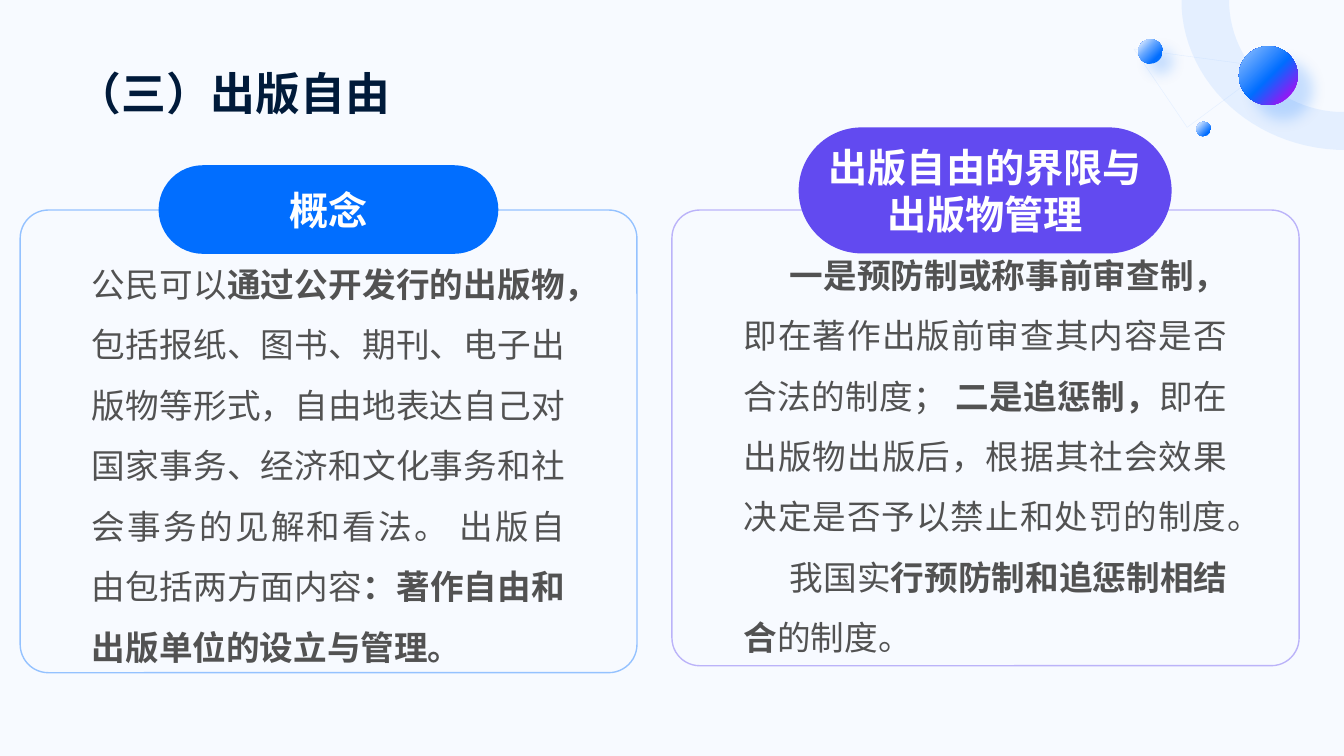
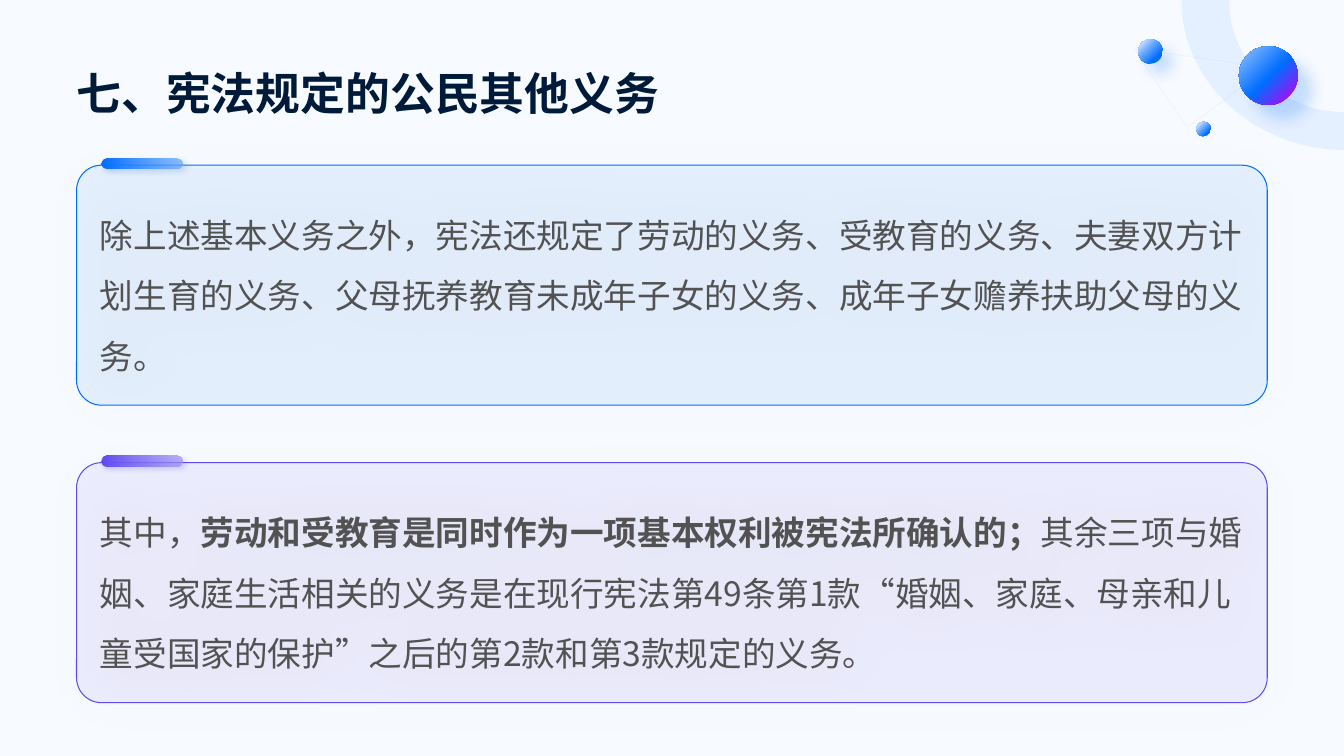
import dataclasses

import lxml.etree
import pptx
import pptx.dml.color
import pptx.enum.shapes
import pptx.enum.text
import pptx.oxml.ns
import pptx.util

Pt = pptx.util.Pt
qn = pptx.oxml.ns.qn
ALIGN = pptx.enum.text.PP_ALIGN
ANCHOR = pptx.enum.text.MSO_ANCHOR
SHAPE = pptx.enum.shapes.MSO_SHAPE


@dataclasses.dataclass(frozen=True)
class Theme:
    background: str = "F7FAFF"
    title: str = "001A3A"
    body: str = "525252"
    white: str = "FFFFFF"
    black: str = "000000"
    blue: str = "016EFF"
    light_blue: str = "67A8FF"
    soft_blue: str = "99C5FF"
    pale_blue: str = "CCE2FF"
    deep_blue: str = "0052C0"
    violet: str = "624AF0"
    light_violet: str = "A192F6"
    deep_violet: str = "2F12D9"
    magenta: str = "9618F4"
    title_font: str = "Arial"
    body_font: str = "Noto Sans CJK SC"
    title_size: int = 32
    label_size: int = 28
    body_size: int = 24


def rgb(colour):
    return pptx.dml.color.RGBColor.from_string(colour)


def child(parent, tag, **attributes):
    return lxml.etree.SubElement(parent, qn(tag), {k: str(v) for k, v in attributes.items()})


def add_colour(parent, colour, alpha=100):
    node = child(parent, "a:srgbClr", val=colour)
    if alpha < 100:
        child(node, "a:alpha", val=alpha * 1000)


def paint(fill_format, fill_parent, colour, alpha=100):
    fill_format.solid()
    fill_format.fore_color.rgb = rgb(colour)
    if alpha < 100:
        node = fill_parent.find(qn("a:solidFill")).find(qn("a:srgbClr"))
        child(node, "a:alpha", val=alpha * 1000)


def write(shape, *paragraphs, size, colour, font, east_asian, bold=False,
          align=ALIGN.LEFT, anchor=ANCHOR.MIDDLE, insets=(0, 0, 0, 0), spacing=1.0, indent=0):
    frame = shape.text_frame
    frame.word_wrap = True
    frame.vertical_anchor = anchor
    (frame.margin_left, frame.margin_top,
     frame.margin_right, frame.margin_bottom) = map(Pt, insets)
    for position, content in enumerate(paragraphs):
        paragraph = frame.add_paragraph() if position else frame.paragraphs[0]
        paragraph.alignment = align
        paragraph.line_spacing = spacing
        if indent:
            paragraph._p.get_or_add_pPr().set("indent", str(Pt(indent)))
        for index, words in enumerate(content.split("*")):
            if not words:
                continue
            run = paragraph.add_run()
            run.text = words
            run.font.size = Pt(size)
            run.font.bold = bold or index % 2 == 1
            run.font.color.rgb = rgb(colour)
            run.font.name = font
            properties = run._r.get_or_add_rPr()
            properties.set("lang", "zh-CN")
            child(properties, "a:ea", typeface=east_asian)


def curve(start, first, second, end, steps=24):
    for step in range(1, steps + 1):
        t = step / steps
        yield tuple((1 - t) ** 3 * a + 3 * t * (1 - t) ** 2 * b + 3 * t * t * (1 - t) * c + t ** 3 * d
                    for a, b, c, d in zip(start, first, second, end))


class Deck:
    def __init__(self, theme):
        self.theme = theme
        self.presentation = pptx.Presentation()
        self.presentation.slide_width = Pt(960)
        self.presentation.slide_height = Pt(540)
        background = self.presentation.slide_master.background.fill
        background.solid()
        background.fore_color.rgb = rgb(theme.background)
        self.slide = None

    def start(self, heading):
        self.slide = self.presentation.slides.add_slide(self.presentation.slide_layouts[6])
        self.ornament()
        title = self.slide.shapes.add_textbox(Pt(54.7), Pt(28), Pt(850.5), Pt(57))
        write(title, heading, size=self.theme.title_size, colour=self.theme.title,
              font=self.theme.title_font, east_asian=self.theme.body_font,
              bold=True, anchor=ANCHOR.BOTTOM)

    def ornament(self):
        t = self.theme
        self.outline([(810, 35), (906, 48), (848, 91)], line=(t.pale_blue, 0.25, 50))
        inner = curve((878, 3.6), (880, 45), (914, 78), (956, 80))
        outer = curve((955, 107), (895, 104), (847, 60), (844, 5))
        self.outline([(844, 0), (878, 0), (878, 3.6), *inner, (960, 80),
                      (960, 107), (955, 107), *outer], fill=(t.soft_blue, 20))
        planets = [
            (885, 33, 42, [(0, t.soft_blue), (52, t.blue), (85, t.magenta)], (t.blue, 20, 10, 15)),
            (813, 28, 17.5, [(12, t.pale_blue), (40, t.light_blue), (75, t.blue)], (t.blue, 20, 10, 10)),
            (854.5, 87, 10.5, [(13, t.pale_blue), (75, t.blue)], None),
        ]
        for left, top, size, stops, shadow in planets:
            planet = self.shape(SHAPE.OVAL, (left, top, size, size), shadow=shadow)
            self.gradient(planet, stops, radial=True)

    def outline(self, points, **style):
        builder = self.slide.shapes.build_freeform(Pt(points[0][0]), Pt(points[0][1]))
        builder.add_line_segments([(Pt(x), Pt(y)) for x, y in points[1:]], close=True)
        self.style(builder.convert_to_shape(), **style)

    def shape(self, kind, box, radius=None, **style):
        shape = self.slide.shapes.add_shape(kind, *map(Pt, box))
        if radius is not None:
            shape.adjustments[0] = radius
        self.style(shape, **style)
        return shape

    def style(self, shape, fill=None, line=None, shadow=None):
        properties = shape._element.spPr
        if fill:
            paint(shape.fill, properties, *fill)
        else:
            shape.fill.background()
        if line:
            colour, width, alpha = line
            shape.line.width = Pt(width)
            paint(shape.line.fill, properties.find(qn("a:ln")), colour, alpha)
        else:
            shape.line.fill.background()
        shape.shadow.inherit = False
        if shadow:
            colour, alpha, blur, distance = shadow
            outer = child(properties.find(qn("a:effectLst")), "a:outerShdw", blurRad=Pt(blur),
                          dist=Pt(distance), dir=45 * 60000, algn="tl", rotWithShape=0)
            add_colour(outer, colour, alpha)

    def gradient(self, shape, stops, radial=False):
        fill = lxml.etree.Element(qn("a:gradFill"), {"rotWithShape": "1"})
        listing = child(fill, "a:gsLst")
        for position, *colour in stops:
            add_colour(child(listing, "a:gs", pos=position * 1000), *colour)
        if radial:
            child(child(fill, "a:path", path="circle"), "a:fillToRect", r=100000, b=100000)
        else:
            child(fill, "a:lin", ang=0, scaled=0)
        properties = shape._element.spPr
        properties.replace(properties.find(qn("a:noFill")), fill)

    def body(self, shape, *paragraphs, **options):
        write(shape, *paragraphs, size=self.theme.body_size, colour=self.theme.body,
              font=self.theme.body_font, east_asian=self.theme.body_font, spacing=1.5, **options)

    def panel(self, box, accent, *paragraphs, bottom=20, indent=0):
        panel = self.shape(SHAPE.ROUNDED_RECTANGLE, box, 0.061, line=(accent, 1, 40))
        self.body(panel, *paragraphs, align=ALIGN.JUSTIFY,
                  insets=(45.4, 39.6, 45.4, bottom), indent=indent)

    def pill(self, box, accent, label):
        pill = self.shape(SHAPE.ROUNDED_RECTANGLE, box, 0.5, fill=(accent,))
        write(pill, label, size=self.theme.label_size, colour=self.theme.white,
              font=self.theme.body_font, east_asian=self.theme.body_font,
              bold=True, align=ALIGN.CENTER)

    def card(self, top, accent, tint, shade, content):
        card = self.shape(SHAPE.ROUNDED_RECTANGLE, (54.7, top, 850.5, 171.4), 0.104,
                          fill=(tint, 12), line=(accent, 0.75, 100),
                          shadow=(self.theme.black, 7, 35, 3))
        self.body(card, content, insets=(11.5, 0, 11.5, 0))
        tab = self.shape(SHAPE.ROUNDED_RECTANGLE, (72.5, top - 5, 58, 7.5), 0.5,
                         shadow=(shade, 20, 4, 3))
        self.gradient(tab, [(0, accent), (100, tint, 71)])


def press_freedom(deck):
    t = deck.theme
    deck.start("（三）出版自由")
    deck.panel((480, 150, 448, 325.5), t.violet,
               "*一是预防制或称事前审查制，*即在著作出版前审查其内容是否合法的制度； "
               "*二是追惩制，*即在出版物出版后，根据其社会效果决定是否予以禁止和处罚的制度。",
               "我国实*行预防制和追惩制相结合*的制度。", bottom=28, indent=33)
    deck.panel((14.4, 150, 440.6, 330.5), t.blue,
               "公民可以*通过公开发行的出版物，*包括报纸、图书、期刊、电子出版物等形式，"
               "自由地表达自己对国家事务、经济和文化事务和社会事务的见解和看法。 "
               "出版自由包括两方面内容*：著作自由和出版单位的设立与管理。")
    deck.pill((113.3, 118, 242.7, 63.3), t.blue, "概念")
    deck.pill((570.5, 91, 266.4, 90), t.violet, "出版自由的界限与出版物管理")


def other_duties(deck):
    t = deck.theme
    deck.start("七、宪法规定的公民其他义务")
    deck.card(118, t.blue, t.light_blue, t.deep_blue,
              "除上述基本义务之外，宪法还规定了劳动的义务、受教育的义务、夫妻双方计划生育的义务、"
              "父母抚养教育未成年子女的义务、成年子女赡养扶助父母的义务。")
    deck.card(330.5, t.violet, t.light_violet, t.deep_violet,
              "其中，*劳动和受教育是同时作为一项基本权利被宪法所确认的；*其余三项与婚姻、"
              "家庭生活相关的义务是在现行宪法第49条第1款“婚姻、家庭、母亲和儿童受国家的保护”"
              "之后的第2款和第3款规定的义务。")


def main():
    deck = Deck(Theme())
    press_freedom(deck)
    other_duties(deck)
    deck.presentation.save("out.pptx")


if __name__ == "__main__":
    main()
